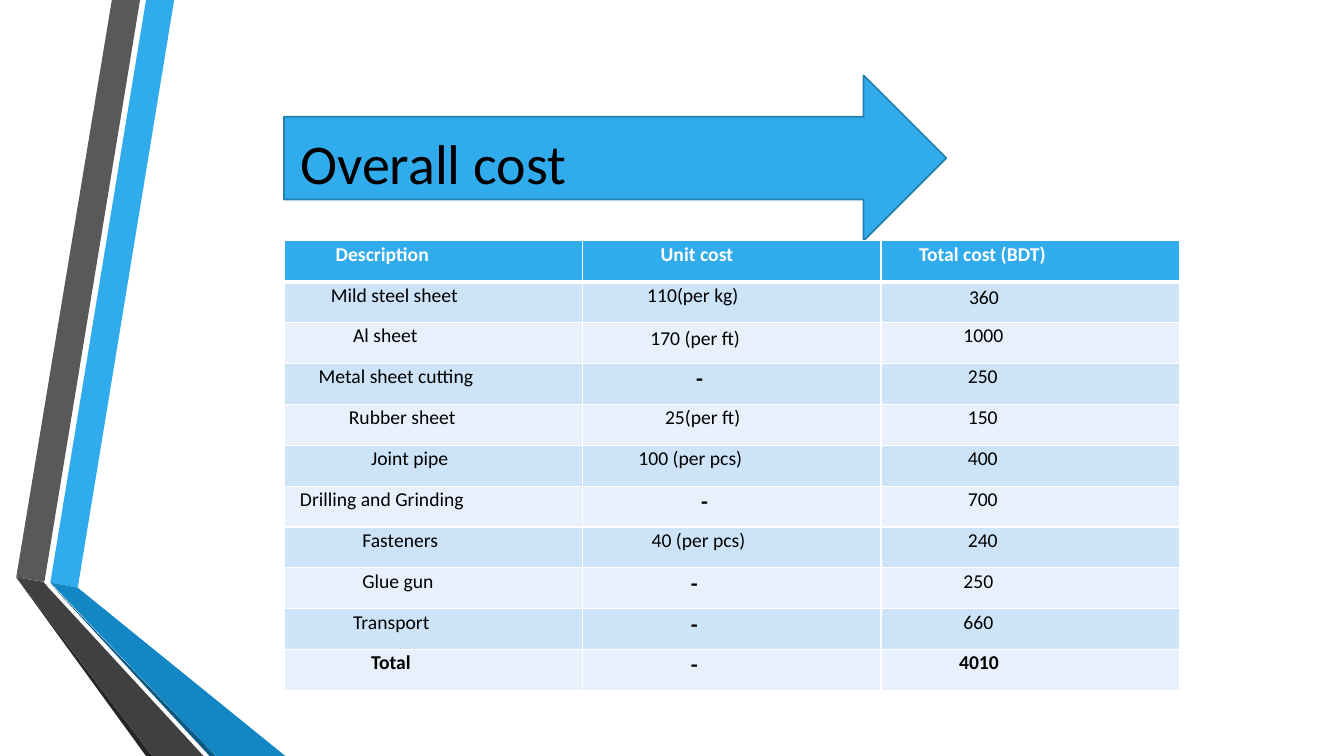
from dataclasses import dataclass

from lxml.etree import SubElement
from pptx import Presentation
from pptx.dml.color import RGBColor
from pptx.enum.shapes import MSO_SHAPE
from pptx.enum.text import MSO_ANCHOR, MSO_AUTO_SIZE, PP_ALIGN
from pptx.oxml.ns import qn
from pptx.util import Cm, Pt

COLOURS = {
    "sky": "30ACEC",
    "arrow edge": "247FAF",
    "blue": "1287C3",
    "navy": "0C5A82",
    "grey": "595959",
    "charcoal": "404040",
    "soot": "262626",
    "dark band": "CDE3F8",
    "light band": "E8F1FB",
    "white": "FFFFFF",
    "black": "000000",
}
FONT = "Calibri"
LEFT = 7.16
COLUMN_WIDTH = 7.52
ROW_HEIGHT = 1.03


@dataclass
class Ribbon:
    colour: str
    points: list[tuple[float, float]]


@dataclass
class Entry:
    text: str
    indent: float
    size: int = 14
    bold: bool = False
    top: float = 0


RIBBONS = [
    Ribbon("sky", [(1.27, 14.68), (1.96, 14.81), (4.39, 0), (3.68, 0)]),
    Ribbon("grey", [(3.53, 0), (2.82, 0), (0.41, 14.55), (1.12, 14.66)]),
    Ribbon("soot", [(0.41, 14.55), (3.68, 19.05), (3.84, 19.05)]),
    Ribbon("navy", [(1.27, 14.71), (5.28, 19.05), (5.44, 19.05)]),
    Ribbon("blue", [(1.27, 14.68), (5.44, 19.05), (7.19, 19.05), (1.96, 14.81)]),
    Ribbon("charcoal", [(5.13, 19.05), (1.22, 14.81), (1.09, 14.66),
                        (0.41, 14.55), (3.84, 19.05)]),
]


def dash(indent: float = 2.73) -> Entry:
    return Entry("-", indent, 16, True)


COSTS = [
    [Entry("Description", 1.3, bold=True), Entry("Unit cost", 1.97, bold=True),
     Entry("Total cost (BDT)", 0.96, bold=True)],
    [Entry("Mild steel sheet", 1.18), Entry("110(per kg)", 1.63), Entry("360", 2.22, top=0.07)],
    [Entry("Al sheet", 1.74), Entry("170 (per ft)", 1.71, top=0.07), Entry("1000", 2.08)],
    [Entry("Metal sheet cutting", 0.87), dash(2.86), Entry("250", 2.19)],
    [Entry("Rubber sheet", 1.63), Entry("25(per ft)", 2.08), Entry("150", 2.19)],
    [Entry("Joint pipe", 2.19), Entry("100 (per pcs)", 1.41), Entry("400", 2.19)],
    [Entry("Drilling and Grinding", 0.4), dash(2.99), Entry("700", 2.19)],
    [Entry("Fasteners", 1.97), Entry("40 (per pcs)", 1.74), Entry("240", 2.19)],
    [Entry("Glue gun", 1.97), dash(), Entry("250", 2.08)],
    [Entry("Transport", 1.74), dash(), Entry("660", 2.08)],
    [Entry("Total", 2.19, bold=True), dash(), Entry("4010", 1.97, bold=True)],
]


def colour(name: str) -> RGBColor:
    return RGBColor.from_string(COLOURS[name])


def paint(filled, name: str) -> None:
    filled.fill.solid()
    filled.fill.fore_color.rgb = colour(name)


def format_font(paragraph, size: float, name: str, bold: bool = False) -> None:
    font = paragraph.font
    font.name, font.size, font.bold = FONT, Pt(size), bold
    font.color.rgb = colour(name)


def draw_ribbon(page, ribbon: Ribbon) -> None:
    first, *others = [(Cm(x), Cm(y)) for x, y in ribbon.points]
    builder = page.shapes.build_freeform(*first)
    builder.add_line_segments(others, close=True)
    shape = builder.convert_to_shape()
    shape.shadow.inherit = False
    paint(shape, ribbon.colour)
    shape.line.fill.background()


def draw_heading(page) -> None:
    arrow = page.shapes.add_shape(
        MSO_SHAPE.RIGHT_ARROW, Cm(LEFT), Cm(1.9), Cm(16.69), Cm(4.17))
    arrow.shadow.inherit = False
    paint(arrow, "sky")
    arrow.line.color.rgb = colour("arrow edge")
    arrow.line.width = Pt(1.25)

    title = page.shapes.title
    arrow.element.addnext(title.element)
    title.left, title.top = Cm(LEFT), Cm(1.65)
    title.width, title.height = Cm(COLUMN_WIDTH), Cm(4.88)
    frame = title.text_frame
    frame.text = "Overall cost"
    frame.auto_size = MSO_AUTO_SIZE.NONE
    frame.vertical_anchor = MSO_ANCHOR.MIDDLE
    frame.margin_left = frame.margin_right = 0
    paragraph = frame.paragraphs[0]
    paragraph.alignment = PP_ALIGN.CENTER
    format_font(paragraph, 40, "black")


def add_borders(cell, row: int) -> None:
    """Draw white rules, with a thick one between the header and the body."""
    properties = cell._tc.get_or_add_tcPr()
    widths = {"lnL": 1, "lnR": 1,
              "lnT": 3 if row == 1 else 1, "lnB": 3 if row == 0 else 1}
    for side, width in widths.items():
        line = SubElement(properties, qn(f"a:{side}"), w=str(Pt(width)))
        fill = SubElement(line, qn("a:solidFill"))
        SubElement(fill, qn("a:srgbClr"), val=COLOURS["white"])


def fill_cell(cell, entry: Entry, row: int) -> None:
    add_borders(cell, row)
    band = "dark band" if row % 2 else "light band"
    paint(cell, band if row else "sky")
    cell.margin_left, cell.margin_right = Cm(entry.indent), Cm(0.18)
    cell.margin_top, cell.margin_bottom = Cm(entry.top), 0
    cell.text = entry.text
    paragraph = cell.text_frame.paragraphs[0]
    paragraph.line_spacing = 1.07
    format_font(paragraph, entry.size, "black" if row else "white", entry.bold)


def draw_cost_table(page) -> None:
    rows, columns = len(COSTS), len(COSTS[0])
    table = page.shapes.add_table(
        rows, columns, Cm(LEFT), Cm(6.07),
        Cm(COLUMN_WIDTH * columns), Cm(ROW_HEIGHT * rows)).table
    for column in table.columns:
        column.width = Cm(COLUMN_WIDTH)
    for row, entries in enumerate(COSTS):
        table.rows[row].height = Cm(ROW_HEIGHT)
        for column, entry in enumerate(entries):
            fill_cell(table.cell(row, column), entry, row)


def main() -> None:
    deck = Presentation()
    deck.slide_width, deck.slide_height = Cm(33.87), Cm(19.05)
    page = deck.slides.add_slide(deck.slide_layouts.get_by_name("Title Only"))
    for ribbon in RIBBONS:
        draw_ribbon(page, ribbon)
    draw_heading(page)
    draw_cost_table(page)
    deck.save("out.pptx")


if __name__ == "__main__":
    main()
